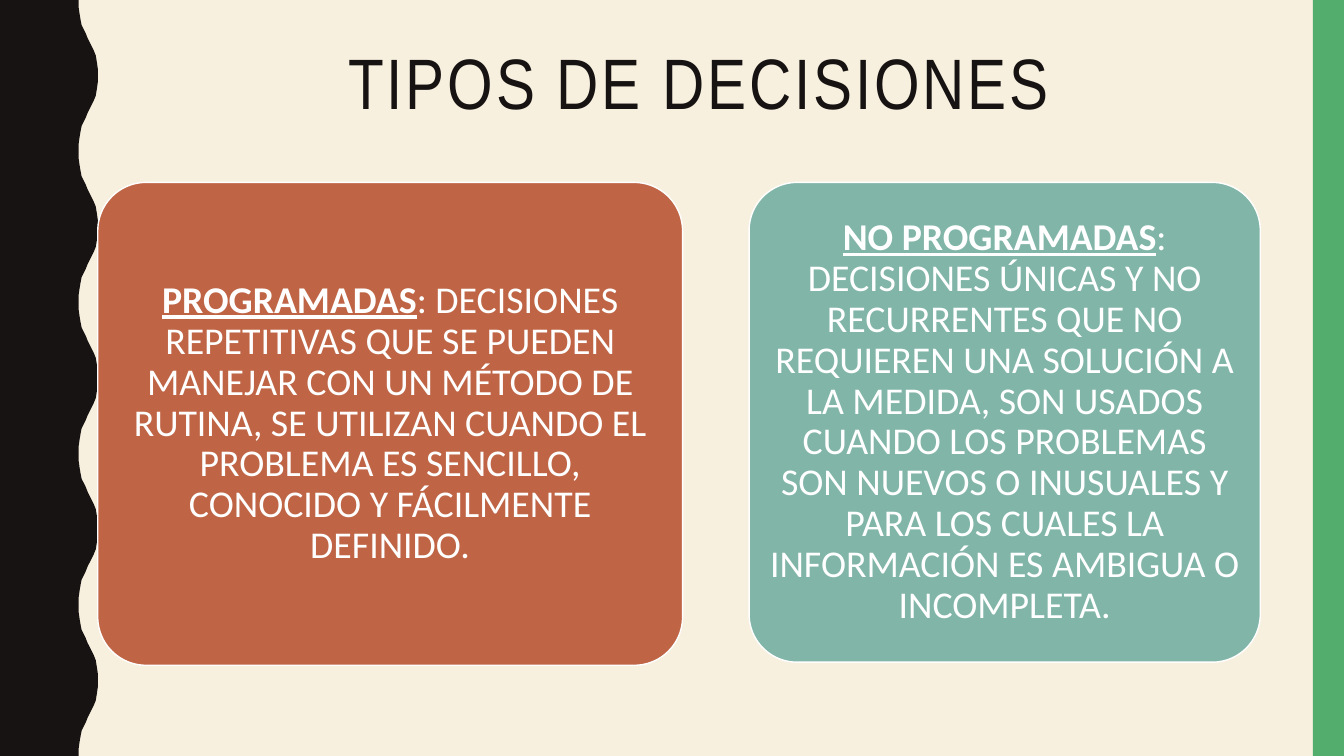
from pptx import Presentation
from pptx.dml.color import RGBColor
from pptx.enum.shapes import MSO_SHAPE as Shape
from pptx.enum.text import MSO_ANCHOR as Anchor, MSO_AUTO_SIZE as AutoSize, PP_ALIGN as Align
from pptx.util import Inches, Pt

WIDTH, HEIGHT = 13.33, 7.5
DARK, WHITE = "171312", "FFFFFF"
WAVE_PERIOD = 1.5
HALF_WAVE = [
    (0.78, 0), (0.78, 0.07), (0.79, 0.14), (0.8, 0.2), (0.81, 0.25), (0.83, 0.29),
    (0.85, 0.33), (0.87, 0.38), (0.89, 0.42), (0.91, 0.46), (0.93, 0.5),
    (0.95, 0.55), (0.96, 0.61), (0.97, 0.68), (0.97, 0.75),
]
DECISIONS = [
    (0.97, 5.8, 4.79, "BF6546", "PROGRAMADAS",
     ": DECISIONES REPETITIVAS QUE SE PUEDEN MANEJAR CON UN MÉTODO DE RUTINA, "
     "SE UTILIZAN CUANDO EL PROBLEMA ES SENCILLO, CONOCIDO Y FÁCILMENTE DEFINIDO."),
    (7.43, 5.07, 4.76, "81B5A8", "NO PROGRAMADAS",
     ": DECISIONES ÚNICAS Y NO RECURRENTES QUE NO REQUIEREN UNA SOLUCIÓN A LA MEDIDA, "
     "SON USADOS CUANDO LOS PROBLEMAS SON NUEVOS O INUSUALES Y PARA LOS CUALES "
     "LA INFORMACIÓN ES AMBIGUA O INCOMPLETA."),
]


def rgb(color):
    return RGBColor.from_string(color)


def paint(shape, fill, line=None):
    shape.shadow.inherit = False
    shape.fill.solid()
    shape.fill.fore_color.rgb = rgb(fill)
    if line:
        shape.line.color.rgb = rgb(line)
        shape.line.width = Pt(1)
    else:
        shape.line.fill.background()


def add_span(para, text, size, font, color, bold=False, underline=False, spacing=0):
    span = para.add_run()
    span.text = text
    span.font.size, span.font.name = Pt(size), font
    span.font.color.rgb = rgb(color)
    span.font.bold, span.font.underline = bold, underline
    if spacing:
        span.font._element.set("spc", str(spacing * 100))


def centred_paragraph(frame, anchor):
    frame.word_wrap = True
    frame.auto_size = AutoSize.NONE
    frame.vertical_anchor = anchor
    para = frame.paragraphs[0]
    para.alignment = Align.CENTER
    para.line_spacing = 0.9
    return para


def add_wavy_edge(page):
    edge = []
    for period in range(round(HEIGHT / WAVE_PERIOD)):
        top = period * WAVE_PERIOD
        edge += [(x, top + y) for x, y in HALF_WAVE]
        edge += [(x, top + WAVE_PERIOD - y) for x, y in reversed(HALF_WAVE[:-1])]
    outline = [(Inches(x), Inches(y)) for x, y in edge + [(0, HEIGHT)]]
    builder = page.shapes.build_freeform(0, 0, scale=1.0)
    builder.add_line_segments(outline, close=True)
    paint(builder.convert_to_shape(), DARK)


def add_side_bar(page):
    bar = page.shapes.add_shape(
        Shape.RECTANGLE, Inches(13.02), 0, Inches(0.31), Inches(HEIGHT))
    paint(bar, "53AE6E")


def add_title(page, text):
    title = page.shapes.title
    title.left, title.top = Inches(1.37), Inches(0.42)
    title.width, title.height = Inches(11.13), Inches(1.63)
    para = centred_paragraph(title.text_frame, Anchor.TOP)
    add_span(para, text, size=51, font="Arial Narrow", color=DARK, spacing=2)


def add_decision(page, left, width, height, fill, term, definition):
    box = page.shapes.add_shape(
        Shape.ROUNDED_RECTANGLE, Inches(left), Inches(1.81), Inches(width), Inches(height))
    box.adjustments[0] = 0.1
    paint(box, fill, line=WHITE)
    frame = box.text_frame
    frame.margin_left = frame.margin_right = Inches(0.04)
    frame.margin_top = frame.margin_bottom = Inches(0.04)
    para = centred_paragraph(frame, Anchor.MIDDLE)
    add_span(para, term, size=27, font="Calibri", color=WHITE, bold=True, underline=True)
    add_span(para, definition, size=27, font="Calibri", color=WHITE)


def main():
    """Build the slide on the types of decisions."""
    deck = Presentation()
    deck.slide_width, deck.slide_height = Inches(WIDTH), Inches(HEIGHT)
    page = deck.slides.add_slide(deck.slide_layouts.get_by_name("Title Only"))
    page.background.fill.solid()
    page.background.fill.fore_color.rgb = rgb("F7F0DF")
    add_wavy_edge(page)
    add_side_bar(page)
    add_title(page, "TIPOS DE DECISIONES")
    for decision in DECISIONS:
        add_decision(page, *decision)
    deck.save("out.pptx")


if __name__ == "__main__":
    main()
